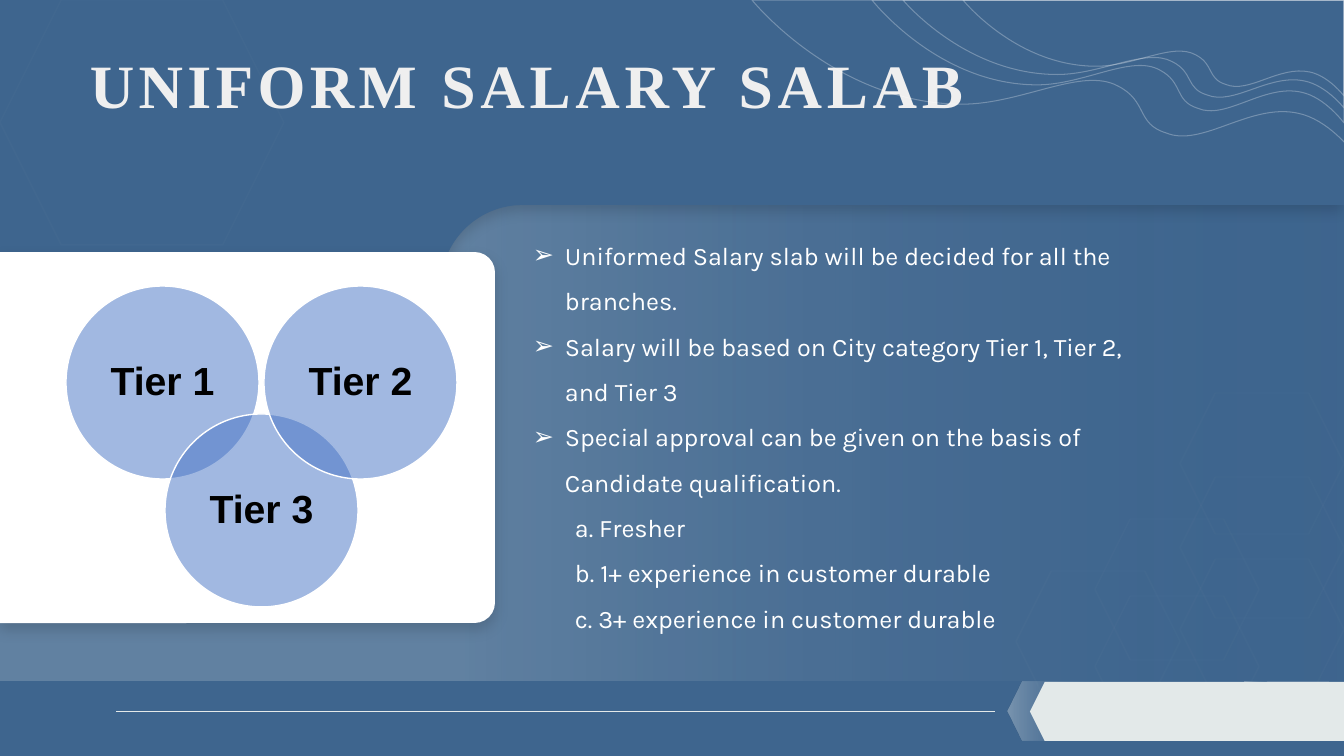
from dataclasses import dataclass

from lxml.etree import SubElement as Sub
from pptx import Presentation
from pptx.dml.color import RGBColor
from pptx.enum.shapes import MSO_CONNECTOR as Conn, MSO_SHAPE as Kind
from pptx.enum.text import MSO_ANCHOR as Anchor, PP_ALIGN as Align
from pptx.oxml.ns import qn
from pptx.util import Pt

SCALE = 12192000 / 1344  # EMU in one px
BLUE, PALE, WHITE, BLACK = "3E658E", "E3E9E9", "FFFFFF", "000000"


@dataclass
class Box:
    x: int
    y: int
    w: int
    h: int

    def emu(self) -> list[int]:
        return [px(v) for v in (self.x, self.y, self.w, self.h)]


@dataclass
class Stop:
    pos: float
    color: str
    alpha: int


@dataclass
class Tier:
    name: str
    x: int
    y: int


@dataclass
class Item:
    text: str
    bullet: bool = True


# A path is a start point, then lines (x, y) and curves (x1, y1, x2, y2, x, y)
PANEL = [(0, 0), (1344, 0), (1344, 205), (523, 205),
         (483, 205, 450, 233, 442, 271), (440, 281), (440, 340),
         (440, 392, 398, 434, 346, 434), (0, 434)]
# The wave is given in parts of its width and height
WAVE = [(1, 1), (1, 0), (0, 0),
        (0, 0, 0.14, 0.69, 0.35, 0.69), (0.45, 0.69, 0.55, 0.44, 0.61, 0.57),
        (0.66, 0.67, 0.64, 0.82, 0.69, 0.88), (0.75, 0.98, 0.83, 0.68, 0.91, 0.75),
        (0.96, 0.79, 1, 1, 1, 1)]
WAVES = [Box(903, 0, 441, 108), Box(872, 0, 472, 123),
         Box(752, 0, 600, 151), Box(963, 0, 381, 96)]
# Faint honeycomb at the two sides
CELLS = [Box(x, y, 164, 141) for x, y in ((1180, 559), (1180, 477), (1180, 393),
                                          (1095, 519), (1095, 596), (1016, 571))]
CELLS += [Box(0, 138, 171, 147), Box(0, 247, 98, 84)]
CORNER = Box(0, 0, 284, 245)
TIERS = [Tier("Tier 1", 66, 286), Tier("Tier 3", 165, 414), Tier("Tier 2", 264, 286)]
ITEMS = [
    Item("Uniformed Salary slab will be decided for all the branches."),
    Item("Salary will be based on City category Tier 1, Tier 2, and Tier 3"),
    Item("Special approval can be given on the basis of Candidate qualification."),
    Item("a. Fresher", False),
    Item("b. 1+ experience in customer durable", False),
    Item("c. 3+ experience in customer durable", False),
]
FADE = [Stop(0, PALE, 36), Stop(0.3, BLUE, 0)]
GLOW = [Stop(0.34, PALE, 21), Stop(1, BLUE, 0)]


def px(val: float) -> int:
    return round(val * SCALE)


def rgb(code: str) -> RGBColor:
    return RGBColor.from_string(code)


def paint(shape, fill=None, line=None, width=1, alphas=(), shadow=False) -> None:
    """Fill is a hex string, a list of stops or None; alphas follow colour order."""
    if isinstance(fill, list):
        shape.fill.gradient()
        shape.fill.gradient_angle = 0
        for mark, stop in zip(shape.fill.gradient_stops, fill):
            mark.position = stop.pos
            mark.color.rgb = rgb(stop.color)
        alphas = [stop.alpha for stop in fill]
    elif fill:
        shape.fill.solid()
        shape.fill.fore_color.rgb = rgb(fill)
    else:
        shape.fill.background()
    if line:
        shape.line.color.rgb = rgb(line)
        shape.line.width = Pt(width)
    else:
        shape.line.fill.background()
    props = shape._element.spPr
    for color, alpha in zip(list(props.iter(qn("a:srgbClr"))), alphas):
        Sub(color, qn("a:alpha"), val=str(alpha * 1000))
    shape.shadow.inherit = False
    if shadow:
        cast = Sub(props.find(qn("a:effectLst")), qn("a:outerShdw"),
                   blurRad=str(Pt(10)), dist=str(Pt(5)), dir="5400000",
                   algn="t", rotWithShape="0")
        color = Sub(cast, qn("a:srgbClr"), val=BLACK)
        Sub(color, qn("a:alpha"), val="15000")


def add(slide, kind, box: Box, **look):
    shape = slide.shapes.add_shape(kind, *box.emu())
    paint(shape, **look)
    return shape


def trace(slide, path: list, box: Box = Box(0, 0, 1, 1), **look) -> None:
    """Draw a closed outline, with its points scaled into the box."""
    def spot(x: float, y: float) -> tuple[int, int]:
        return px(box.x + x * box.w), px(box.y + y * box.h)

    ends = [spot(*part[-2:]) for part in path]
    build = slide.shapes.build_freeform(*ends[0], scale=1)
    build.add_line_segments(ends[1:], close=True)
    shape = build.convert_to_shape()
    left, top = (min(axis) for axis in zip(*ends))
    # Turn the segments that have control points into curves
    for seg, part in zip(list(shape._element.iter(qn("a:lnTo"))), path[1:]):
        if len(part) == 6:
            seg.tag = qn("a:cubicBezTo")
            for num in (0, 2):
                x, y = spot(*part[num:num + 2])
                point = Sub(seg, qn("a:pt"), x=str(x - left), y=str(y - top))
                seg.insert(num // 2, point)
    paint(shape, **look)


def write(para, text: str, size=18, font="Karla", color=WHITE, bold=False,
          align=Align.LEFT, lead=1.0, track=0.0, left=0, bullet=None) -> None:
    props = para._p.get_or_add_pPr()
    if left:
        props.set("marL", str(px(left)))
    if bullet:
        props.set("indent", str(-px(left)))
        Sub(props, qn("a:buFont"), typeface="Arial")
        Sub(props, qn("a:buChar"), char=bullet)
    para.alignment, para.line_spacing = align, lead
    run = para.add_run()
    run.text = text
    run.font.size, run.font.name, run.font.bold = Pt(size), font, bold
    run.font.color.rgb = rgb(color)
    if track:
        run._r.get_or_add_rPr().set("spc", str(round(track * 100)))


def frame(slide, box: Box):
    text = slide.shapes.add_textbox(*box.emu()).text_frame
    text.word_wrap = True
    return text


def main() -> None:
    deck = Presentation()
    deck.slide_width, deck.slide_height = px(1344), px(756)
    slide = deck.slides.add_slide(deck.slide_layouts[6])
    slide.background.fill.solid()
    slide.background.fill.fore_color.rgb = rgb(BLUE)

    # Honeycomb, footer arrow and rule
    for cell in CELLS:
        add(slide, Kind.HEXAGON, cell, line=PALE, alphas=[2])
    for left, fill in ((1008, FADE), (1030, PALE)):
        add(slide, Kind.HEXAGON, Box(left, 682, 314, 59), fill=fill)
        add(slide, Kind.RECTANGLE, Box(left + 237, 682, 77, 59), fill=fill)
    rule = slide.shapes.add_connector(Conn.STRAIGHT, px(995), px(711), px(116), px(711))
    rule.line.color.rgb = rgb(PALE)
    rule.line.width = Pt(0.5)
    Sub(rule._element.spPr, qn("a:effectLst"))

    # Light band and the panel over it
    add(slide, Kind.RECTANGLE, Box(-8, 205, 1354, 476), fill=GLOW)
    trace(slide, PANEL, fill=BLUE, shadow=True)
    add(slide, Kind.HEXAGON, CORNER, line=PALE, alphas=[2])

    # Title and waves
    title = frame(slide, Box(80, 42, 1159, 84)).paragraphs[0]
    for word, track in (("UNIFORM ", 3.1), ("SALARY SALAB", 3.4)):
        write(title, word, size=44, font="Times New Roman", color="EFEFEF",
              bold=True, track=track)
    for box in WAVES:
        trace(slide, WAVE, box, line=WHITE, width=0.75, alphas=[28])

    # White card with the tiers
    card = add(slide, Kind.ROUND_2_SAME_RECTANGLE, Box(62, 190, 371, 495),
               fill=WHITE, shadow=True)
    card.rotation = 90
    card.adjustments[0], card.adjustments[1] = 0.055, 0
    for tier in TIERS:
        disc = add(slide, Kind.OVAL, Box(tier.x, tier.y, 193, 193),
                   fill="4472C4", line=WHITE, alphas=[50])
        text = disc.text_frame
        text.word_wrap, text.vertical_anchor = True, Anchor.MIDDLE
        text.margin_left = text.margin_right = px(12)
        write(text.paragraphs[0], tier.name, size=28, font="Arial", color=BLACK,
              bold=True, align=Align.CENTER, lead=0.9)

    # Salary rules
    body = frame(slide, Box(523, 220, 672, 468))
    body.margin_right = px(40)
    for num, item in enumerate(ITEMS):
        para = body.add_paragraph() if num else body.paragraphs[0]
        write(para, item.text, lead=1.5, left=32 if item.bullet else 42,
              bullet="➢" if item.bullet else None)

    deck.save("out.pptx")


if __name__ == "__main__":
    main()
